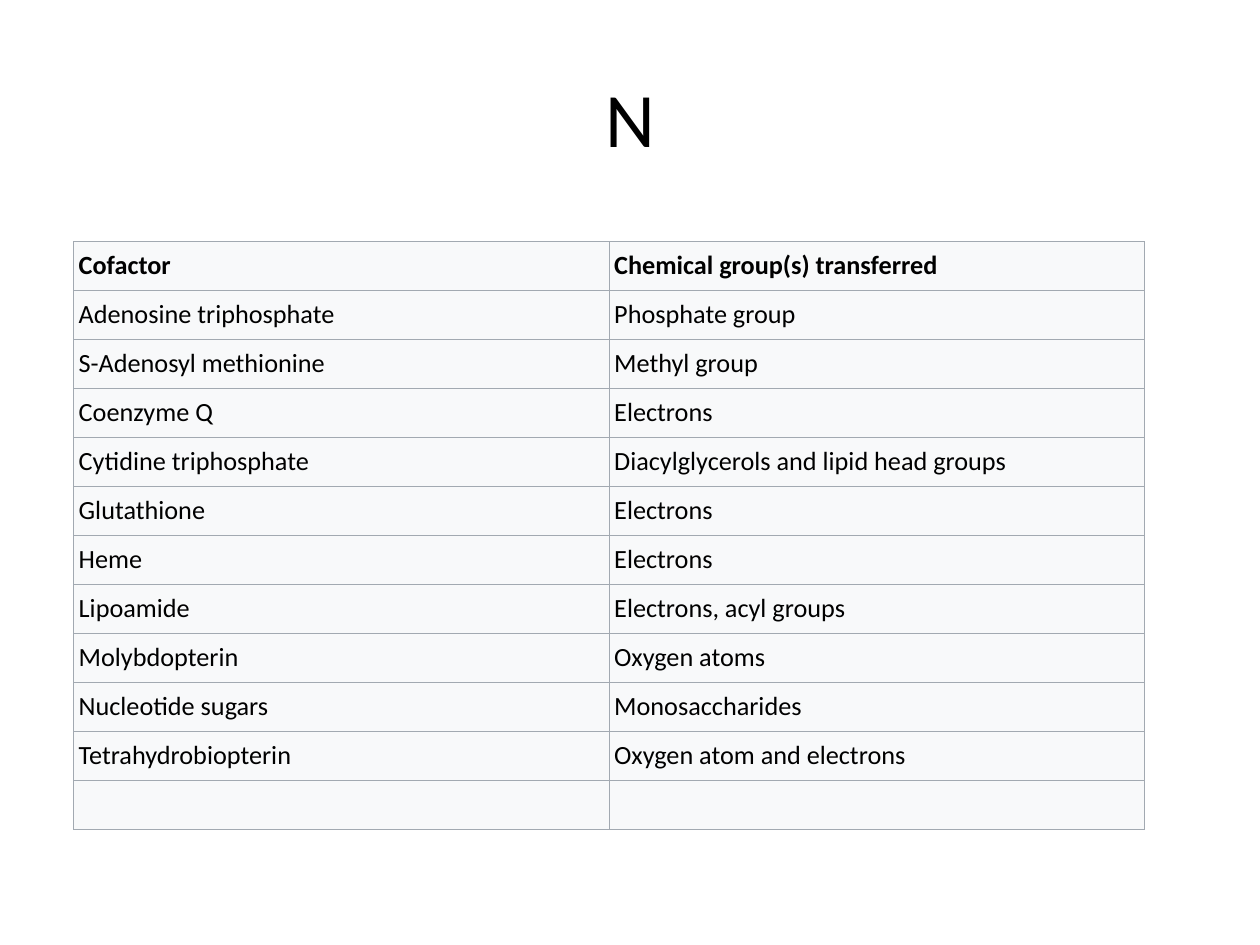
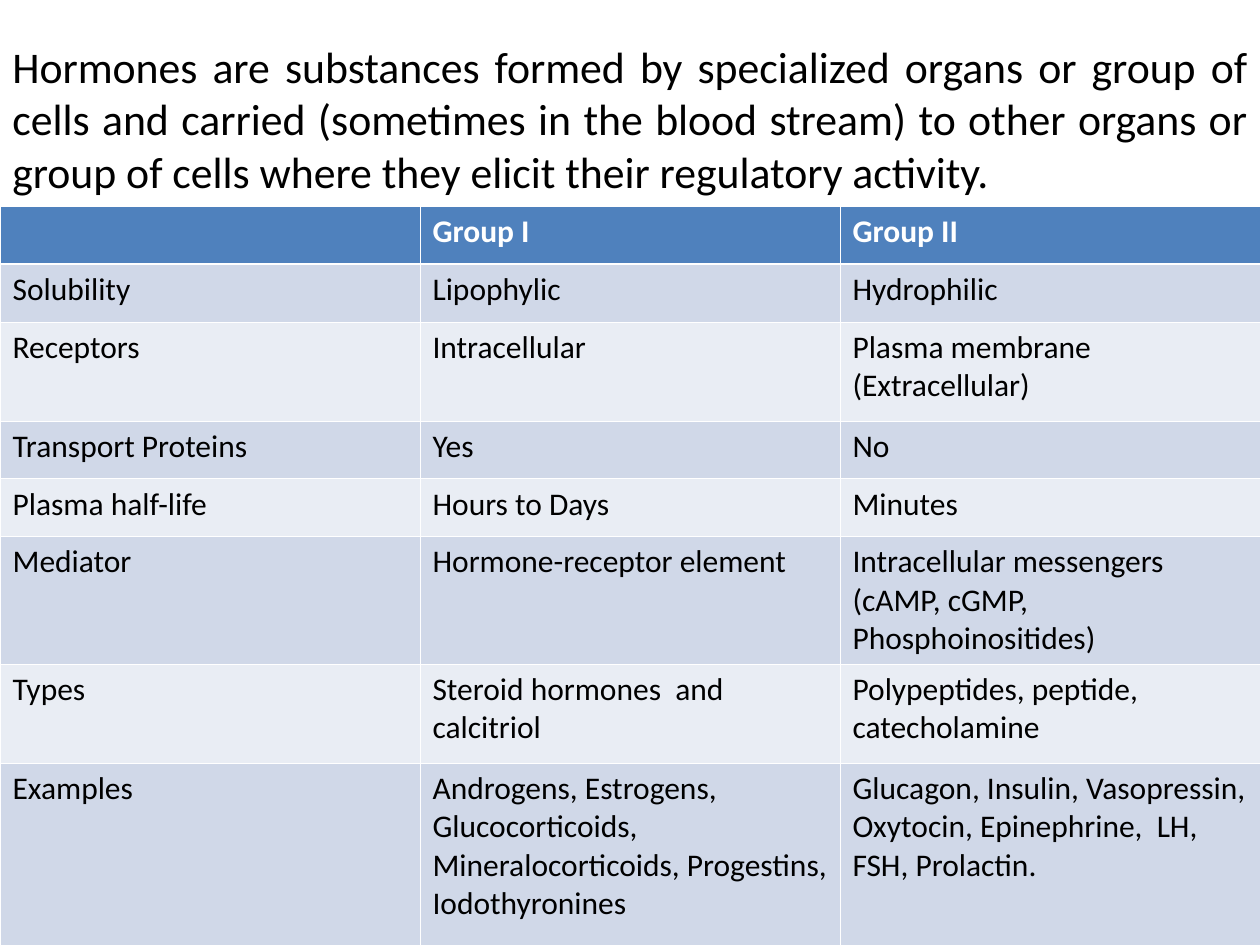
"""Build two slides: a cofactor table and a comparison of hormone groups."""
from dataclasses import dataclass

from lxml import etree
from pptx import Presentation
from pptx import util as u
from pptx.dml.color import RGBColor
from pptx.enum import text
from pptx.oxml.ns import qn


@dataclass(frozen=True)
class Theme:
    font: str = "Calibri"
    ink: str = "000000"
    white: str = "FFFFFF"
    pale: str = "F8F9FA"
    grid: str = "A2A9B1"
    header: str = "4F81BD"
    band_dark: str = "D0D8E8"
    band_light: str = "E9EDF4"
    title_size: float = 44
    definition_size: float = 25
    cofactor_size: float = 15
    hormone_size: float = 18
    thin: float = 0.45
    thick: float = 1.47


@dataclass(frozen=True)
class TableStyle:
    size: float
    header_ink: str
    header_fill: str
    bands: tuple
    border: str
    border_width: float
    header_rule: float
    side_margin: float
    anchor: text.MSO_ANCHOR


THEME = Theme()
COFACTOR_STYLE = TableStyle(
    THEME.cofactor_size, THEME.ink, THEME.pale, (THEME.pale,), THEME.grid,
    0.34, 0.34, 3, text.MSO_ANCHOR.MIDDLE)
HORMONE_STYLE = TableStyle(
    THEME.hormone_size, THEME.white, THEME.header,
    (THEME.band_dark, THEME.band_light), THEME.white,
    THEME.thin, THEME.thick, 7.2, text.MSO_ANCHOR.TOP)

COFACTORS = [
    ("Cofactor", "Chemical group(s) transferred"),
    ("Adenosine triphosphate", "Phosphate group"),
    ("S-Adenosyl methionine", "Methyl group"),
    ("Coenzyme Q", "Electrons"),
    ("Cytidine triphosphate", "Diacylglycerols and lipid head groups"),
    ("Glutathione", "Electrons"),
    ("Heme", "Electrons"),
    ("Lipoamide", "Electrons, acyl groups"),
    ("Molybdopterin", "Oxygen atoms"),
    ("Nucleotide sugars", "Monosaccharides"),
    ("Tetrahydrobiopterin", "Oxygen atom and electrons"),
    ("", ""),
]
HORMONE_DEFINITION = (
    "Hormones are substances formed by specialized organs or group of cells "
    "and carried (sometimes in the blood stream) to other organs or group of "
    "cells where they elicit their regulatory activity.")
HORMONE_GROUPS = [
    ("", "Group I", "Group II"),
    ("Solubility", "Lipophylic", "Hydrophilic"),
    ("Receptors", "Intracellular", "Plasma membrane (Extracellular)"),
    ("Transport Proteins", "Yes", "No"),
    ("Plasma half-life", "Hours to Days", "Minutes"),
    ("Mediator", "Hormone-receptor element",
     "Intracellular messengers (cAMP, cGMP, Phosphoinositides)"),
    ("Types", "Steroid hormones  and calcitriol",
     "Polypeptides, peptide, catecholamine"),
    ("Examples",
     "Androgens, Estrogens, Glucocorticoids, Mineralocorticoids, Progestins, "
     "Iodothyronines",
     "Glucagon, Insulin, Vasopressin, Oxytocin, Epinephrine,  LH, FSH, "
     "Prolactin."),
]
HORMONE_ROW_HEIGHTS = [33, 33, 56.6, 33, 33, 73, 56.6, 106]


def format_runs(paragraph, size, color, bold=False):
    for run in paragraph.runs:
        run.font.name = THEME.font
        run.font.size = u.Pt(size)
        run.font.bold = bold
        run.font.color.rgb = RGBColor.from_string(color)


def add_title(slide, wording, left, top, width, height, size, alignment):
    box = slide.shapes.add_textbox(
        u.Pt(left), u.Pt(top), u.Pt(width), u.Pt(height))
    frame = box.text_frame
    frame.word_wrap = True
    frame.vertical_anchor = text.MSO_ANCHOR.MIDDLE
    frame.text = wording
    paragraph = frame.paragraphs[0]
    paragraph.alignment = alignment
    format_runs(paragraph, size, THEME.ink)


def set_borders(cell, color, widths):
    properties = cell._tc.get_or_add_tcPr()
    for side, width in widths.items():
        line = etree.SubElement(
            properties, qn(f"a:ln{side}"), w=str(int(u.Pt(width))))
        fill = etree.SubElement(line, qn("a:solidFill"))
        etree.SubElement(fill, qn("a:srgbClr"), val=color)


def format_cell(cell, wording, row_index, style):
    is_header = row_index == 0
    widths = dict.fromkeys("LRTB", style.border_width)
    if row_index < 2:
        widths["B" if is_header else "T"] = style.header_rule
    set_borders(cell, style.border, widths)
    color = (style.header_fill if is_header
             else style.bands[(row_index - 1) % len(style.bands)])
    cell.fill.solid()
    cell.fill.fore_color.rgb = RGBColor.from_string(color)
    cell.margin_left = cell.margin_right = u.Pt(style.side_margin)
    cell.margin_top = cell.margin_bottom = u.Pt(3.6)
    cell.vertical_anchor = style.anchor
    paragraph = cell.text_frame.paragraphs[0]
    if wording:
        paragraph.text = wording
        ink = style.header_ink if is_header else THEME.ink
        format_runs(paragraph, style.size, ink, is_header)
    else:
        etree.SubElement(paragraph._p, qn("a:endParaRPr"),
                         sz=str(int(style.size * 100)))


def add_table(slide, rows, left, top, width, heights, style):
    column_count = len(rows[0])
    table = slide.shapes.add_table(
        len(rows), column_count, u.Pt(left), u.Pt(top),
        u.Pt(width), u.Pt(sum(heights))).table
    table.first_row = table.horz_banding = False
    for column in table.columns:
        column.width = u.Pt(width / column_count)
    for row_index, (wordings, height) in enumerate(zip(rows, heights)):
        table.rows[row_index].height = u.Pt(height)
        for column_index, wording in enumerate(wordings):
            format_cell(table.cell(row_index, column_index), wording,
                        row_index, style)


def add_blank_slide(presentation):
    slide = presentation.slides.add_slide(presentation.slide_layouts[6])
    slide.background.fill.solid()
    slide.background.fill.fore_color.rgb = RGBColor.from_string(THEME.white)
    return slide


def main():
    presentation = Presentation()
    presentation.slide_width = u.Pt(720)
    presentation.slide_height = u.Pt(540)

    cofactor_slide = add_blank_slide(presentation)
    add_title(cofactor_slide, "N", 36, 21.6, 648, 90,
              THEME.title_size, text.PP_ALIGN.CENTER)
    add_table(cofactor_slide, COFACTORS, 42, 138, 612,
              [28] * len(COFACTORS), COFACTOR_STYLE)

    hormone_slide = add_blank_slide(presentation)
    add_title(hormone_slide, HORMONE_DEFINITION, 0, 34, 720, 67,
              THEME.definition_size, text.PP_ALIGN.JUSTIFY)
    add_table(hormone_slide, HORMONE_GROUPS, 0, 118, 720,
              HORMONE_ROW_HEIGHTS, HORMONE_STYLE)

    presentation.save("out.pptx")


if __name__ == "__main__":
    main()
